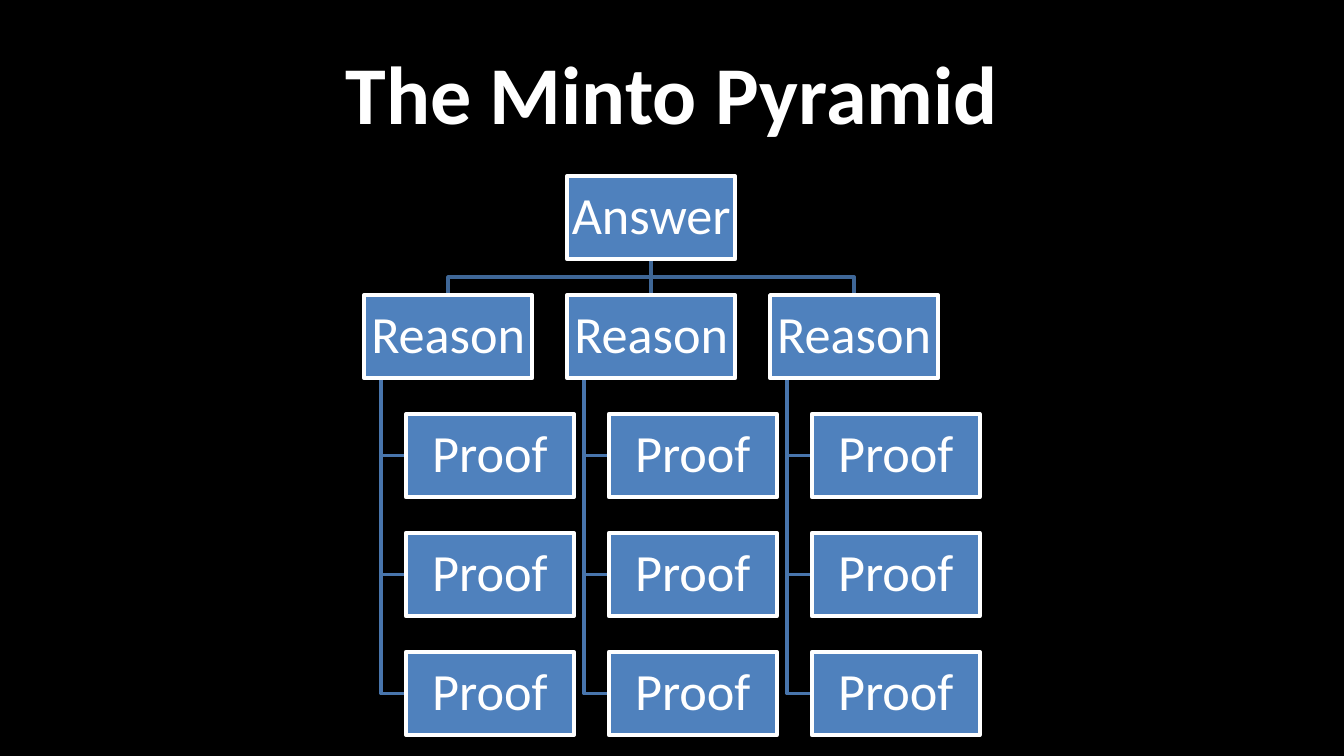
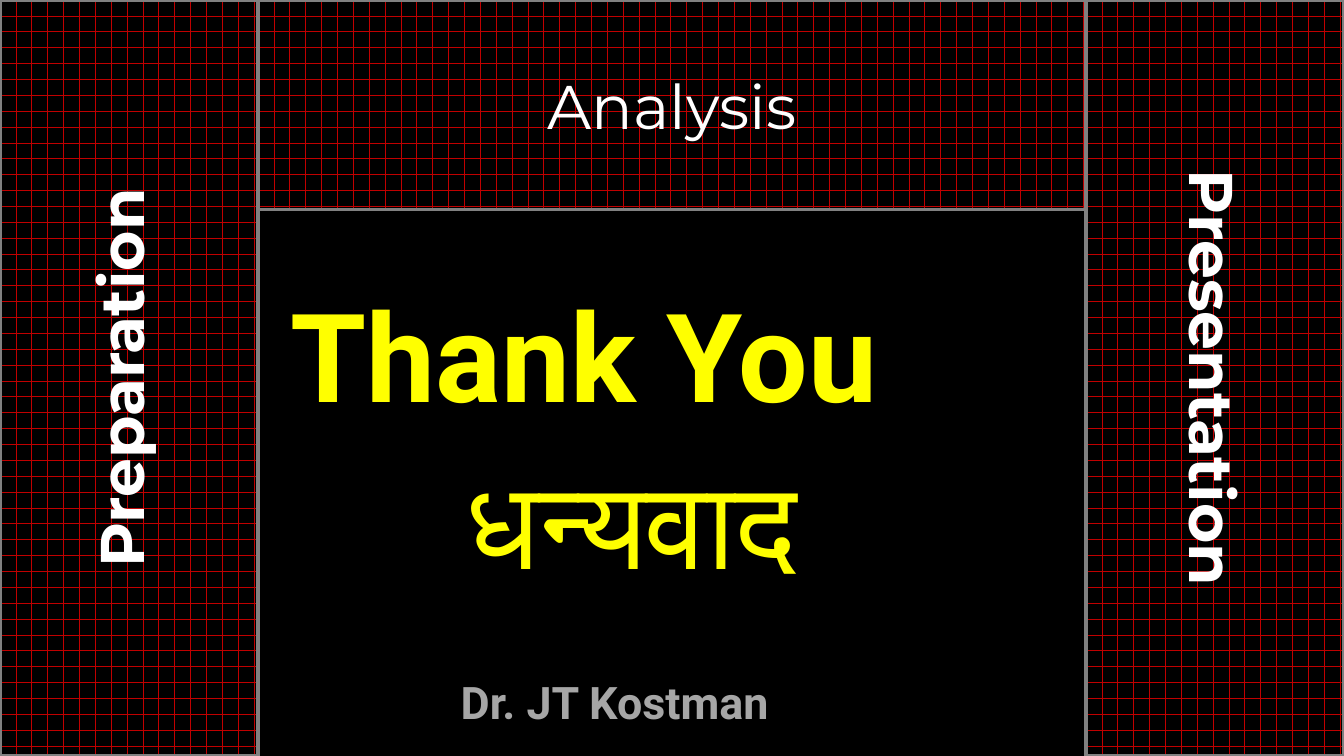
from typing import NamedTuple

from lxml import etree
from pptx import Presentation
from pptx.dml.color import RGBColor
from pptx.enum.dml import MSO_PATTERN
from pptx.enum.shapes import MSO_CONNECTOR, MSO_SHAPE
from pptx.enum.text import MSO_ANCHOR, PP_ALIGN
from pptx.oxml.ns import qn
from pptx.util import Inches, Pt

RECT = MSO_SHAPE.RECTANGLE
STRAIGHT = MSO_CONNECTOR.STRAIGHT
BRICK = MSO_PATTERN.HORIZONTAL_BRICK
MIDDLE, TOP = MSO_ANCHOR.MIDDLE, MSO_ANCHOR.TOP
CENTER, LEFT = PP_ALIGN.CENTER, PP_ALIGN.LEFT

BLACK, WHITE, YELLOW = "000000", "FFFFFF", "FFFF00"
BOX_BLUE, TOP_LINE, SIDE_LINE = "4F81BD", "3F6797", "4875AC"
BRICK_RED, FRAME_GREY, NAME_GREY = "C00000", "808080", "A6A6A6"
CALIBRI, MONTSERRAT, ROBOTO = "Calibri", "Montserrat", "Roboto"

SLIDE_W = 10
SLIDE_H = SLIDE_W * 9 / 16
LINE_W = Pt(2)

# Pyramid grid
BOX_W, BOX_H = 1.25, 0.62
COL_X, COL_STEP = 2.71, 1.51
ROW_Y, ROW_STEP = 1.31, (4.85 - 1.31) / 4
PROOF_INDENT = 0.31
COLUMNS, PROOFS = 3, 3

# Closing frame
SIDE_W, ARCH_H = 1.92, 1.56
LABEL_H = 0.66


class Panel(NamedTuple):
    x: float
    y: float
    w: float
    h: float


class SideLabel(NamedTuple):
    text: str
    panel: Panel
    center_x: float
    rotation: int


class Line(NamedTuple):
    text: str
    area: Panel
    size: int
    font: str
    color: str
    bold: bool


def rgb(color: str) -> RGBColor:
    return RGBColor.from_string(color)


def place(sp, area: Panel) -> None:
    sp.left, sp.top, sp.width, sp.height = (Inches(v) for v in area)


def write(sp, text: str, *, size: int, font: str, color: str = WHITE, bold: bool = False,
          align=CENTER, anchor=MIDDLE, wrap: bool = True, inset: float | None = None,
          spacing: float | None = None) -> None:
    tf = sp.text_frame
    tf.word_wrap = wrap
    tf.vertical_anchor = anchor
    if inset is not None:
        tf.margin_left = tf.margin_right = tf.margin_top = tf.margin_bottom = Inches(inset)
    p = tf.paragraphs[0]
    p.alignment = align
    if spacing:
        p.line_spacing = spacing
    r = p.add_run()
    r.text = text
    r.font.size, r.font.name, r.font.bold = Pt(size), font, bold
    r.font.color.rgb = rgb(color)


def outline(sp, color: str) -> None:
    sp.line.color.rgb = rgb(color)
    sp.line.width = LINE_W


def add_slide(prs, layout: int):
    s = prs.slides.add_slide(prs.slide_layouts[layout])
    s.background.fill.solid()
    s.background.fill.fore_color.rgb = rgb(BLACK)
    return s


def add_rect(s, area: Panel, line: str):
    sp = s.shapes.add_shape(RECT, *(Inches(v) for v in area))
    sp.shadow.inherit = False
    outline(sp, line)
    return sp


def add_box(s, text: str, x: float, y: float):
    sp = add_rect(s, Panel(x, y, BOX_W, BOX_H), WHITE)
    sp.fill.solid()
    sp.fill.fore_color.rgb = rgb(BOX_BLUE)
    write(sp, text, size=28, font=CALIBRI, inset=0.02, spacing=0.9)
    return sp


def add_elbow(s, points: list[tuple[float, float]], color: str) -> None:
    start, *rest = [(Inches(x), Inches(y)) for x, y in points]
    builder = s.shapes.build_freeform(*start)
    builder.add_line_segments(rest, close=False)
    sp = builder.convert_to_shape()
    sp.shadow.inherit = False
    sp.fill.background()
    outline(sp, color)


def add_stem(s, upper, lower) -> None:
    """Join two boxes with a straight line placed behind them."""
    cx = s.shapes.add_connector(STRAIGHT, 0, 0, 0, 0)
    cx.begin_connect(upper, 2)
    cx.end_connect(lower, 0)
    outline(cx, TOP_LINE)
    el = cx.element
    etree.SubElement(el.spPr, qn("a:effectLst"))
    el.getparent().insert(2, el)


def add_brick(s, area: Panel):
    sp = add_rect(s, area, FRAME_GREY)
    sp.fill.patterned()
    sp.fill.pattern = BRICK
    sp.fill.fore_color.rgb = rgb(BRICK_RED)
    sp.fill.back_color.rgb = rgb(BLACK)
    return sp


def add_textbox(s, area: Panel):
    return s.shapes.add_textbox(*(Inches(v) for v in area))


def build_pyramid(prs) -> None:
    s = add_slide(prs, 5)
    place(s.shapes.title, Panel(0.5, 0.21, 9, 0.94))
    write(s.shapes.title, "The Minto Pyramid", size=44, font=CALIBRI, bold=True)

    cols = [COL_X + i * COL_STEP for i in range(COLUMNS)]
    rows = [ROW_Y + i * ROW_STEP for i in range(PROOFS + 2)]
    middle = COLUMNS // 2
    answer_x = cols[middle]
    stem_x, answer_end = answer_x + BOX_W / 2, rows[0] + BOX_H
    bus_y = (answer_end + rows[1]) / 2

    # Lines behind the boxes
    for i, x in enumerate(cols):
        if i != middle:
            reason_x = x + BOX_W / 2
            add_elbow(s, [(stem_x, answer_end), (stem_x, bus_y),
                          (reason_x, bus_y), (reason_x, rows[1])], TOP_LINE)
        trunk_x = x + BOX_W / 10
        for y in rows[2:]:
            mid_y = y + BOX_H / 2
            add_elbow(s, [(trunk_x, rows[1] + BOX_H), (trunk_x, mid_y),
                          (x + PROOF_INDENT, mid_y)], SIDE_LINE)

    # Boxes
    answer = add_box(s, "Answer", answer_x, rows[0])
    reasons = []
    for x in cols:
        reasons.append(add_box(s, "Reason", x, rows[1]))
        for y in rows[2:]:
            add_box(s, "Proof", x + PROOF_INDENT, y)
    add_stem(s, answer, reasons[middle])


def build_closing(prs) -> None:
    s = add_slide(prs, 6)

    # Brick frame with its labels
    sides = [
        SideLabel("Preparation", Panel(0, 0, SIDE_W, SLIDE_H), 0.89, 270),
        SideLabel("Presentation", Panel(SLIDE_W - SIDE_W, 0, SIDE_W, SLIDE_H), 9.03, 90),
    ]
    for side in sides:
        add_brick(s, side.panel)
        label = add_textbox(s, Panel(side.center_x - SLIDE_H / 2, (SLIDE_H - LABEL_H) / 2,
                                     SLIDE_H, LABEL_H))
        label.rotation = side.rotation
        write(label, side.text, size=33, font=MONTSERRAT, bold=True)
    arch = add_brick(s, Panel(SIDE_W, 0, SLIDE_W - 2 * SIDE_W, ARCH_H))
    write(arch, "Analysis", size=33, font=MONTSERRAT)

    # Thanks and speaker
    lines = [
        Line("Thank You", Panel(2.06, 2.03, 5.94, 1.21), 66, ROBOTO, YELLOW, True),
        Line("धन्यवाद", Panel(3.37, 3.27, 3.29, 1.21), 66, CALIBRI, YELLOW, False),
        Line("Dr. JT Kostman", Panel(3.33, 4.97, 3.36, 0.5), 24, ROBOTO, NAME_GREY, True),
    ]
    for line in lines:
        write(add_textbox(s, line.area), line.text, size=line.size, font=line.font,
              color=line.color, bold=line.bold, align=LEFT, anchor=TOP, wrap=False)


def main() -> None:
    prs = Presentation()
    prs.slide_width, prs.slide_height = Inches(SLIDE_W), Inches(SLIDE_H)
    build_pyramid(prs)
    build_closing(prs)
    prs.save("out.pptx")


if __name__ == "__main__":
    main()
